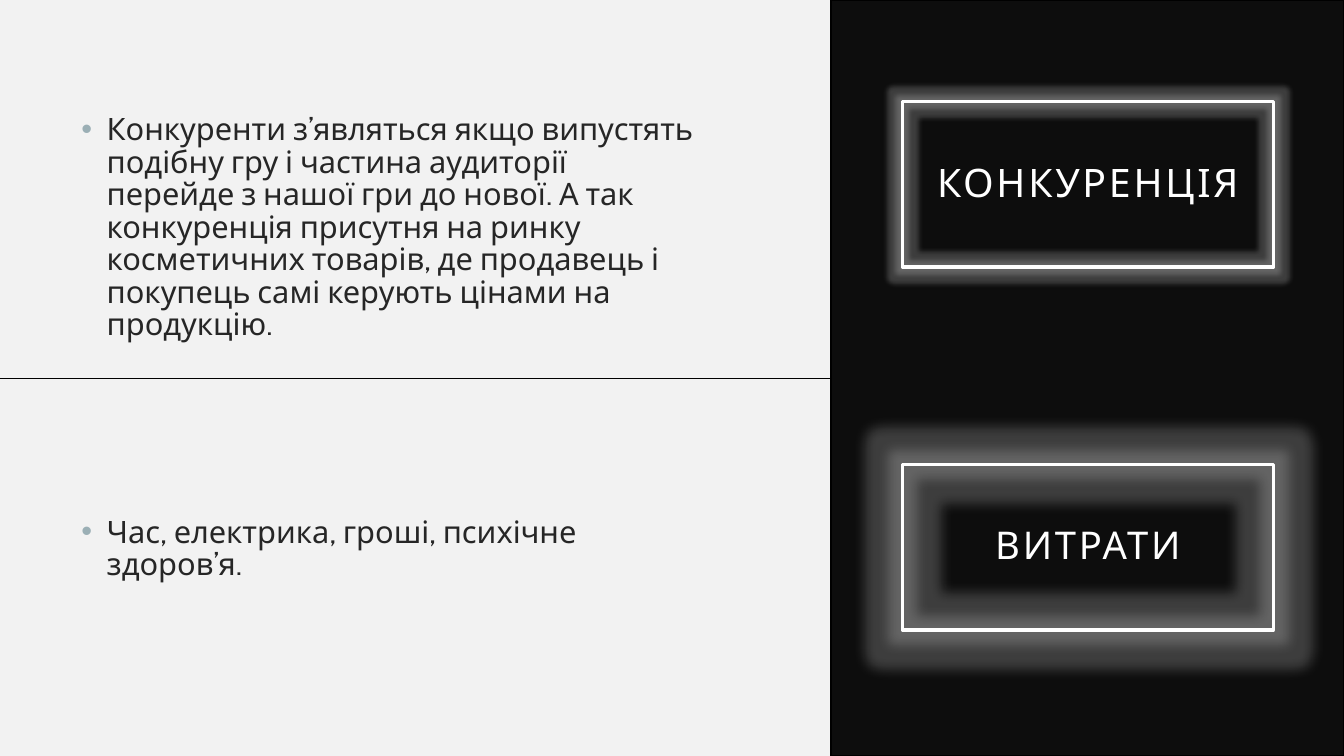
from dataclasses import dataclass

from lxml import etree
from pptx import Presentation
from pptx.dml.color import RGBColor
from pptx.enum.shapes import MSO_CONNECTOR, MSO_SHAPE
from pptx.enum.text import MSO_ANCHOR, PP_ALIGN
from pptx.oxml.ns import qn
from pptx.slide import Slide
from pptx.util import Emu, Pt

RECTANGLE = MSO_SHAPE.RECTANGLE
STRAIGHT = MSO_CONNECTOR.STRAIGHT
MIDDLE = MSO_ANCHOR.MIDDLE
TOP = MSO_ANCHOR.TOP
CENTER = PP_ALIGN.CENTER
LEFT = PP_ALIGN.LEFT

EMU_PER_PX = 9144
SLIDE_WIDTH, SLIDE_HEIGHT = 1333, 750
PANEL_LEFT = 824
FRAME_LEFT, FRAME_WIDTH, FRAME_HEIGHT = 895, 368, 164
FRAME_INSET = 20
BODY_LEFT, BODY_WIDTH = 71, 628
BULLET_INDENT = 25
FONT = "Cabin"
COLORS = {
    "background": "F2F2F2",
    "panel": "0D0D0D",
    "line": "000000",
    "heading": "FFFFFF",
    "body": "262626",
    "bullet": "9BAFB5",
}


@dataclass(frozen=True)
class Section:
    heading: str
    heading_size: float
    frame_top: int
    glow_radius: int
    body: str
    body_top: int
    body_height: int


SECTIONS = [
    Section(
        "КОНКУРЕНЦІЯ", 28, 101, 7,
        "Конкуренти з’являться якщо випустять подібну гру і частина аудиторії "
        "перейде з нашої гри до нової. А так конкуренція присутня на ринку "
        "косметичних товарів, де продавець і покупець самі керують цінами на "
        "продукцію.",
        109, 231,
    ),
    Section(
        "ВИТРАТИ", 27.3, 461, 18,
        "Час, електрика, гроші, психічне здоров’я.",
        508, 69,
    ),
]


def px(length: int) -> Emu:
    return Emu(length * EMU_PER_PX)


def color(name: str) -> RGBColor:
    return RGBColor.from_string(COLORS[name])


def add_panel(slide: Slide) -> None:
    panel = slide.shapes.add_shape(
        RECTANGLE, px(PANEL_LEFT), 0, px(SLIDE_WIDTH - PANEL_LEFT), px(SLIDE_HEIGHT)
    )
    panel.shadow.inherit = False
    panel.fill.solid()
    panel.fill.fore_color.rgb = color("panel")
    panel.line.color.rgb = color("line")
    panel.line.width = Pt(1)


def add_divider(slide: Slide) -> None:
    middle = px(SLIDE_HEIGHT // 2)
    divider = slide.shapes.add_connector(STRAIGHT, 0, middle, px(PANEL_LEFT), middle)
    divider.line.color.rgb = color("line")
    divider.line.width = Pt(0.5)
    etree.SubElement(divider._element.spPr, qn("a:effectLst"))


def add_glow(shape, radius: int) -> None:
    effects = shape._element.spPr.find(qn("a:effectLst"))
    glow = etree.SubElement(effects, qn("a:glow"), rad=str(Pt(radius)))
    tint = etree.SubElement(glow, qn("a:srgbClr"), val=COLORS["heading"])
    etree.SubElement(tint, qn("a:alpha"), val="20000")


def add_heading(slide: Slide, section: Section) -> None:
    frame = slide.shapes.add_shape(
        RECTANGLE, px(FRAME_LEFT), px(section.frame_top), px(FRAME_WIDTH), px(FRAME_HEIGHT)
    )
    frame.shadow.inherit = False
    frame.fill.background()
    frame.line.color.rgb = color("heading")
    frame.line.width = Pt(2.5)
    add_glow(frame, section.glow_radius)
    text_frame = frame.text_frame
    text_frame.word_wrap = True
    text_frame.vertical_anchor = MIDDLE
    text_frame.margin_left = text_frame.margin_right = px(FRAME_INSET)
    text_frame.margin_top = text_frame.margin_bottom = px(FRAME_INSET)
    paragraph = text_frame.paragraphs[0]
    paragraph.alignment = CENTER
    paragraph.line_spacing = 0.9
    run = paragraph.add_run()
    run.text = section.heading
    run.font.name = FONT
    run.font.size = Pt(section.heading_size)
    run.font.color.rgb = color("heading")
    run._r.get_or_add_rPr().set("spc", "200")


def add_bullet(paragraph) -> None:
    properties = paragraph._p.get_or_add_pPr()
    properties.set("marL", str(px(BULLET_INDENT)))
    properties.set("indent", str(-px(BULLET_INDENT)))
    bullet_color = etree.Element(qn("a:buClr"))
    etree.SubElement(bullet_color, qn("a:srgbClr"), val=COLORS["bullet"])
    bullet_font = etree.Element(qn("a:buFont"), typeface="Arial")
    bullet = etree.Element(qn("a:buChar"), char="•")
    properties.find(qn("a:spcBef")).addnext(bullet_color)
    bullet_color.addnext(bullet_font)
    bullet_font.addnext(bullet)


def add_body(slide: Slide, section: Section) -> None:
    text_box = slide.shapes.add_textbox(
        px(BODY_LEFT), px(section.body_top), px(BODY_WIDTH), px(section.body_height)
    )
    text_frame = text_box.text_frame
    text_frame.word_wrap = True
    text_frame.vertical_anchor = TOP
    paragraph = text_frame.paragraphs[0]
    paragraph.text = section.body
    paragraph.alignment = LEFT
    paragraph.line_spacing = 0.88
    paragraph.space_before = Pt(10)
    paragraph.font.name = FONT
    paragraph.font.size = Pt(22)
    paragraph.font.color.rgb = color("body")
    add_bullet(paragraph)


def main() -> None:
    presentation = Presentation()
    presentation.slide_width = px(SLIDE_WIDTH)
    presentation.slide_height = px(SLIDE_HEIGHT)
    slide = presentation.slides.add_slide(presentation.slide_layouts[6])
    slide.background.fill.solid()
    slide.background.fill.fore_color.rgb = color("background")
    add_panel(slide)
    add_divider(slide)
    for section in SECTIONS:
        add_heading(slide, section)
        add_body(slide, section)
    presentation.save("out.pptx")


if __name__ == "__main__":
    main()
